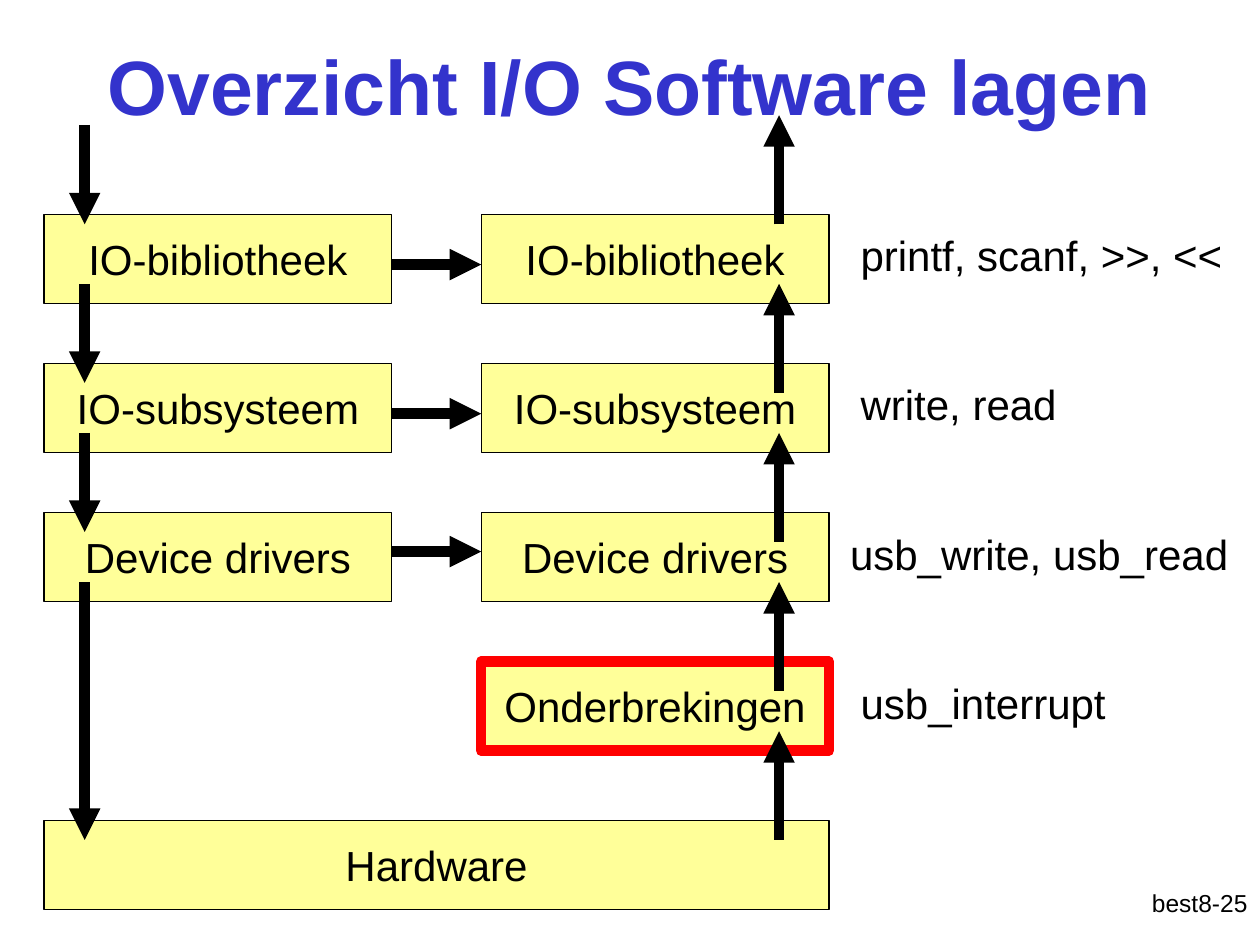
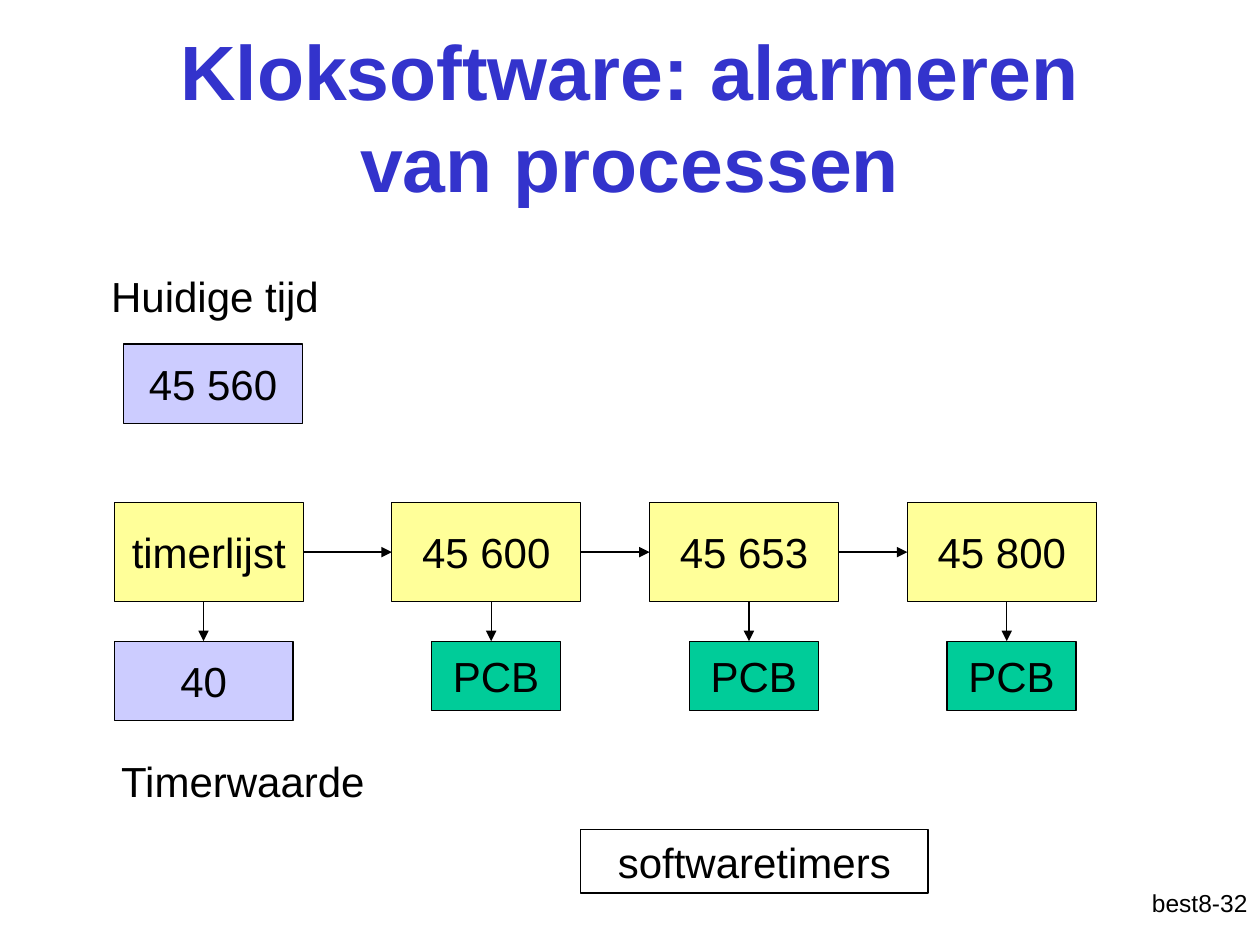
from lxml.etree import SubElement
from pptx import Presentation
from pptx.dml.color import RGBColor
from pptx.enum.shapes import MSO_CONNECTOR, MSO_SHAPE
from pptx.enum.text import MSO_ANCHOR, PP_ALIGN
from pptx.oxml.ns import qn
from pptx.util import Pt

COLORS = {
    "title": "3333CC", "ink": "000000", "layer": "FFFF99",
    "alert": "FF0000", "clock": "CCCCFF", "process": "00CC99",
}
FONT = "Arial"
THIN, THICK = 0.75, 6


def color(name):
    return RGBColor.from_string(COLORS[name])


def write(shape, text, size=24, align=PP_ALIGN.CENTER, ink="ink", bold=False,
          anchor=MSO_ANCHOR.TOP, wrap=True):
    frame = shape.text_frame
    frame.word_wrap = wrap
    frame.vertical_anchor = anchor
    paragraph = frame.paragraphs[0]
    paragraph.text = text
    paragraph.alignment = align
    font = paragraph.font
    font.name, font.size, font.bold = FONT, Pt(size), bold
    font.color.rgb = color(ink)


def add_label(slide, box, text, **style):
    write(slide.shapes.add_textbox(*map(Pt, box)), text, **style)


def add_box(slide, box, text, fill=None, line="ink", weight=THIN):
    shape = slide.shapes.add_shape(MSO_SHAPE.RECTANGLE, *map(Pt, box))
    shape.shadow.inherit = False
    if fill:
        shape.fill.solid()
        shape.fill.fore_color.rgb = color(fill)
    else:
        shape.fill.background()
    shape.line.color.rgb = color(line)
    shape.line.width = Pt(weight)
    write(shape, text, anchor=MSO_ANCHOR.MIDDLE, wrap=False)


def add_arrow(slide, start, end, weight):
    arrow = slide.shapes.add_connector(
        MSO_CONNECTOR.STRAIGHT, *map(Pt, (*start, *end)))
    arrow.line.color.rgb = color("ink")
    arrow.line.width = Pt(weight)
    SubElement(arrow.line._get_or_add_ln(), qn("a:tailEnd"), type="triangle")
    SubElement(arrow._element.spPr, qn("a:effectLst"))


def add_slide(presentation, title, title_box, number):
    slide = presentation.slides.add_slide(presentation.slide_layouts[6])
    add_label(slide, (570, 504, 150, 36), f"best8-{number}", size=14,
              align=PP_ALIGN.RIGHT)
    add_label(slide, title_box, title, size=44, ink="title", bold=True,
              anchor=MSO_ANCHOR.MIDDLE)
    return slide


def draw_layers(slide, left, top):
    """Request path down the left column, reply path up the right one."""
    width, height, pitch, column = 198.7, 51, 85.2, 249.8
    right = left + column
    layers = ["IO-bibliotheek", "IO-subsysteem", "Device drivers"]
    rows = [top + pitch * index for index in range(4)]
    hardware_top = top + 346.4

    # Boxes
    for name, row in zip(layers, rows):
        for x in (left, right):
            add_box(slide, (x, row, width, height), name, "layer")
    add_box(slide, (right, rows[3], width, height), "Onderbrekingen",
            "layer", "alert", THICK)
    add_box(slide, (left, hardware_top, column + width, height), "Hardware", "layer")

    # Calls belonging to each layer
    calls = [("printf, scanf, >>, <<", 459.5, 261), ("write, read", 459.5, 221),
             ("usb_write, usb_read", 453.5, 241), ("usb_interrupt", 459.5, 193)]
    for (text, offset, room), row in zip(calls, rows):
        add_label(slide, (left + offset, row + 5.4, room, 36), text,
                  align=PP_ALIGN.LEFT)

    # Arrows across
    for row, drop in zip(rows, (28.8, 28.8, 22.4)):
        add_arrow(slide, (left + width, row + drop), (right, row + drop), THICK)

    # Arrows down and up, overlapping the boxes they join
    overlap = 11.2
    exits = [row + height - overlap for row in rows]
    down, up = left + 23.2, left + 420
    add_arrow(slide, (down, top - 51), (down, top + 5.8), THICK)
    for start, target in zip(exits, [rows[1], rows[2], hardware_top]):
        add_arrow(slide, (down, start), (down, target + overlap), THICK)
    add_arrow(slide, (up, top + 5.8), (up, top - 56.6), THICK)
    starts = [row + 16.8 for row in rows[1:]] + [hardware_top + overlap]
    for start, end in zip(starts, exits):
        add_arrow(slide, (up, start), (up, end), THICK)


def draw_clock(slide, left, top):
    """Current time, captioned above."""
    add_label(slide, (left, top, 157.7, 36), "Huidige tijd")
    add_box(slide, (left + 26.6, top + 45.4, 102.2, 45.4), "45 560", "clock")


def draw_timer_list(slide, left, top):
    """Head of the list, then the timers, each with its process block."""
    width, height, pitch, first = 108, 56.7, 147.3, 158.6
    middle, bottom, lower = top + 28.3, top + height, top + 79.2

    # Head and timer value
    add_box(slide, (left, top, width, height), "timerlijst", "layer")
    add_box(slide, (left, lower, 102.2, 45.4), "40", "clock")
    add_arrow(slide, (left + 51, bottom), (left + 51, lower), THIN)
    add_label(slide, (left - 23, top + 141.1, 193, 36), "Timerwaarde")

    # Chained timers
    previous = left
    for index, time in enumerate(["45 600", "45 653", "45 800"]):
        x = left + first + pitch * index
        add_box(slide, (x, top, width, height), time, "layer")
        add_box(slide, (x + 22.7, lower, 73.7, 39.7), "PCB", "process")
        add_arrow(slide, (previous + width, middle), (x, middle), THIN)
        add_arrow(slide, (x + 56.8, bottom), (x + 56.8, lower), THIN)
        previous = x


def main():
    presentation = Presentation()
    presentation.slide_width, presentation.slide_height = Pt(720), Pt(540)

    slide = add_slide(presentation, "Overzicht I/O Software lagen",
                      (0, 3.6, 720, 90), 25)
    draw_layers(slide, 25.2, 122.4)

    slide = add_slide(presentation, "Kloksoftware: alarmeren van processen",
                      (54, 21, 612, 90), 32)
    draw_clock(slide, 44, 151.2)
    draw_timer_list(slide, 65.3, 287.2)
    add_box(slide, (331.7, 474, 198.7, 36.4), "softwaretimers")

    presentation.save("out.pptx")


if __name__ == "__main__":
    main()
